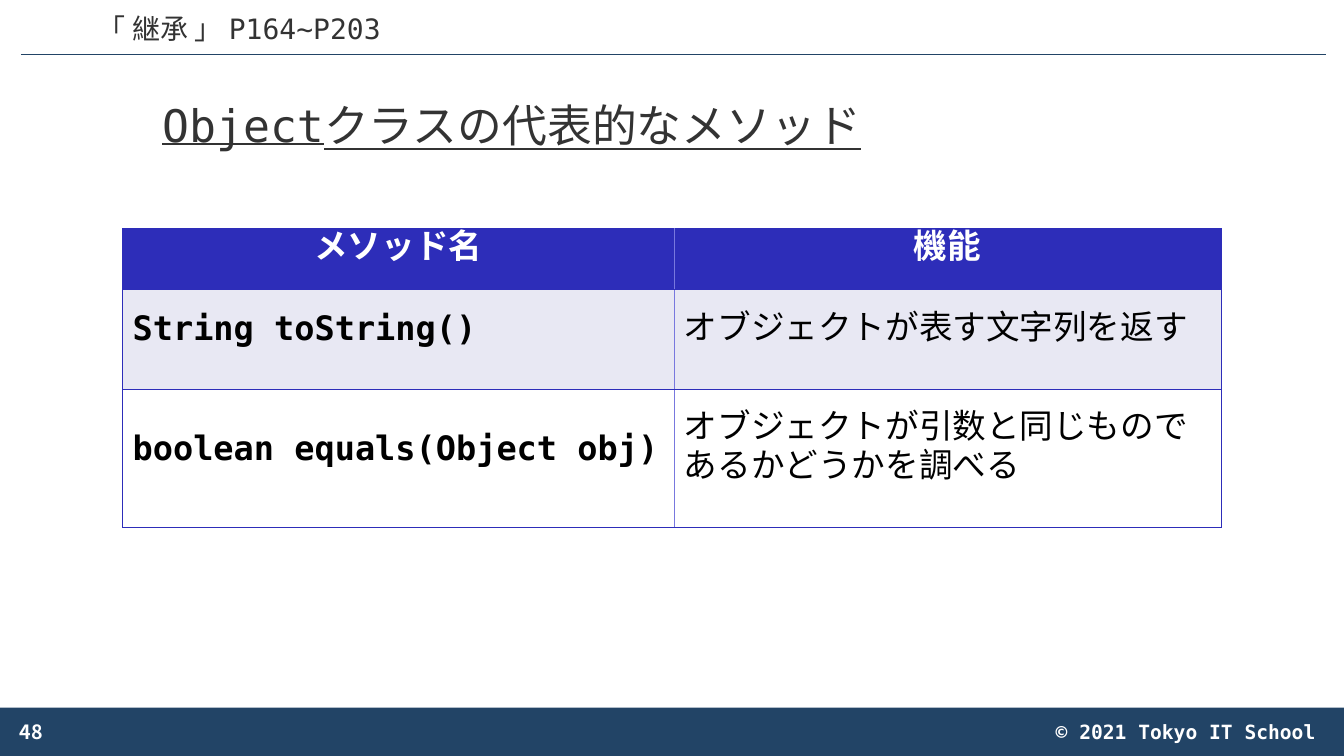
import pptx
import pptx.dml.color
import pptx.enum.text
import pptx.oxml
import pptx.oxml.ns
import pptx.util
from dataclasses import dataclass

Pt = pptx.util.Pt
Align = pptx.enum.text.PP_ALIGN
Anchor = pptx.enum.text.MSO_ANCHOR


@dataclass(frozen=True)
class Theme:
    navy: str = "224466"
    blue: str = "2D2DB9"
    divider: str = "7878DE"
    band: str = "E8E8F3"
    white: str = "FFFFFF"
    black: str = "000000"
    gray: str = "333333"
    mono: str = "DejaVu Sans Mono"
    japanese: str = "Noto Sans CJK JP"
    title_size: int = 32
    table_size: int = 24
    header_size: int = 20
    footer_size: int = 14


theme = Theme()


def color(value):
    return pptx.dml.color.RGBColor.from_string(value)


def format_paragraph(paragraph, size, text_color, align=Align.LEFT, bold=False,
                     spacing=None, name=theme.mono):
    paragraph.alignment = align
    if spacing is not None:
        paragraph.line_spacing = spacing
    font = paragraph.font
    font.size, font.bold, font.name = Pt(size), bold, name
    font.color.rgb = color(text_color)
    east_asian = pptx.oxml.parse_xml(
        f'<a:ea {pptx.oxml.ns.nsdecls("a")} typeface="{theme.japanese}"/>')
    paragraph._p.pPr.find(pptx.oxml.ns.qn("a:defRPr")).append(east_asian)


presentation = pptx.Presentation()
presentation.slide_width, presentation.slide_height = Pt(960.5), Pt(540)
slide = presentation.slides.add_slide(presentation.slide_layouts[5])
shapes = slide.shapes

# Footer bar and header rule
footer_bar = shapes.add_shape(
    pptx.enum.shapes.MSO_SHAPE.RECTANGLE, Pt(0), Pt(505.5), Pt(960.5), Pt(35))
footer_bar.shadow.inherit = False
footer_bar.fill.solid()
footer_bar.fill.fore_color.rgb = color(theme.navy)
footer_bar.line.fill.background()

header_rule = shapes.add_connector(
    pptx.enum.shapes.MSO_CONNECTOR.STRAIGHT, Pt(15), Pt(39), Pt(947.5), Pt(39))
header_rule.line.color.rgb = color(theme.navy)
header_rule.line.width = Pt(0.5)
header_rule._element.spPr.append(
    pptx.oxml.parse_xml(f'<a:effectLst {pptx.oxml.ns.nsdecls("a")}/>'))

# Title
title = shapes.title
title.left, title.top, title.width, title.height = Pt(108.7), Pt(49), Pt(743), Pt(84.2)
title.text_frame.text = "Objectクラスの代表的なメソッド"
title.text_frame.auto_size = pptx.enum.text.MSO_AUTO_SIZE.NONE
title.text_frame.vertical_anchor = Anchor.MIDDLE
format_paragraph(title.text_frame.paragraphs[0], theme.title_size, theme.gray, spacing=0.9)
title.text_frame.paragraphs[0].font.underline = True

# Header and footer texts
labels = [
    ("「 継承 」 P164~P203", (0, -2.9, 342, 38.9), Anchor.BOTTOM,
     dict(size=theme.header_size, text_color=theme.gray, align=Align.CENTER, spacing=0.9)),
    ("48", (7.2, 508.3, 216, 28.8), Anchor.MIDDLE,
     dict(size=theme.footer_size, text_color=theme.white, bold=True, name=theme.japanese)),
    ("© 2021 Tokyo IT School", (600.5, 510.5, 347, 24.5), Anchor.TOP,
     dict(size=theme.footer_size, text_color=theme.white, bold=True, align=Align.RIGHT)),
]
for text, box, anchor, style in labels:
    frame = shapes.add_textbox(*map(Pt, box)).text_frame
    frame.word_wrap = True
    frame.vertical_anchor = anchor
    frame.text = text
    format_paragraph(frame.paragraphs[0], **style)

# Method table
line_pitch = 13.9
column_widths = [394, 391.2]
row_heights = [43.2, 72, 98.6]
row_fills = [theme.blue, theme.band, theme.white]
methods = [
    ["メソッド名", "機能"],
    ["String toString()", "オブジェクトが表す文字列を返す"],
    ["boolean equals(Object obj)", "オブジェクトが引数と同じもので\nあるかどうかを調べる"],
]
table = shapes.add_table(len(methods), len(column_widths), Pt(87.6), Pt(163),
                         Pt(sum(column_widths)), Pt(sum(row_heights))).table
for column, width in zip(table.columns, column_widths):
    column.width = Pt(width)
for row, height in zip(table.rows, row_heights):
    row.height = Pt(height)

for row_index, row_texts in enumerate(methods):
    is_heading = row_index == 0
    for column_index, text in enumerate(row_texts):
        cell = table.cell(row_index, column_index)
        inner_side = "R" if column_index == 0 else "L"
        for side in "LRTB":
            line_color, width = ((theme.divider, 0.34) if side == inner_side
                                 else (theme.blue, 0.23))
            cell._tc.get_or_add_tcPr().append(pptx.oxml.parse_xml(
                f'<a:ln{side} {pptx.oxml.ns.nsdecls("a")} w="{Pt(width)}">'
                f'<a:solidFill><a:srgbClr val="{line_color}"/></a:solidFill></a:ln{side}>'))
        cell.fill.solid()
        cell.fill.fore_color.rgb = color(row_fills[row_index])
        cell.vertical_anchor = Anchor.MIDDLE
        cell.text_frame.text = text
        for paragraph_index, paragraph in enumerate(cell.text_frame.paragraphs):
            if paragraph_index:
                paragraph.space_before = Pt(line_pitch)
            format_paragraph(
                paragraph, theme.table_size,
                theme.white if is_heading else theme.black,
                align=Align.CENTER if is_heading else Align.LEFT,
                bold=is_heading or column_index == 0, spacing=Pt(line_pitch))

presentation.save("out.pptx")
